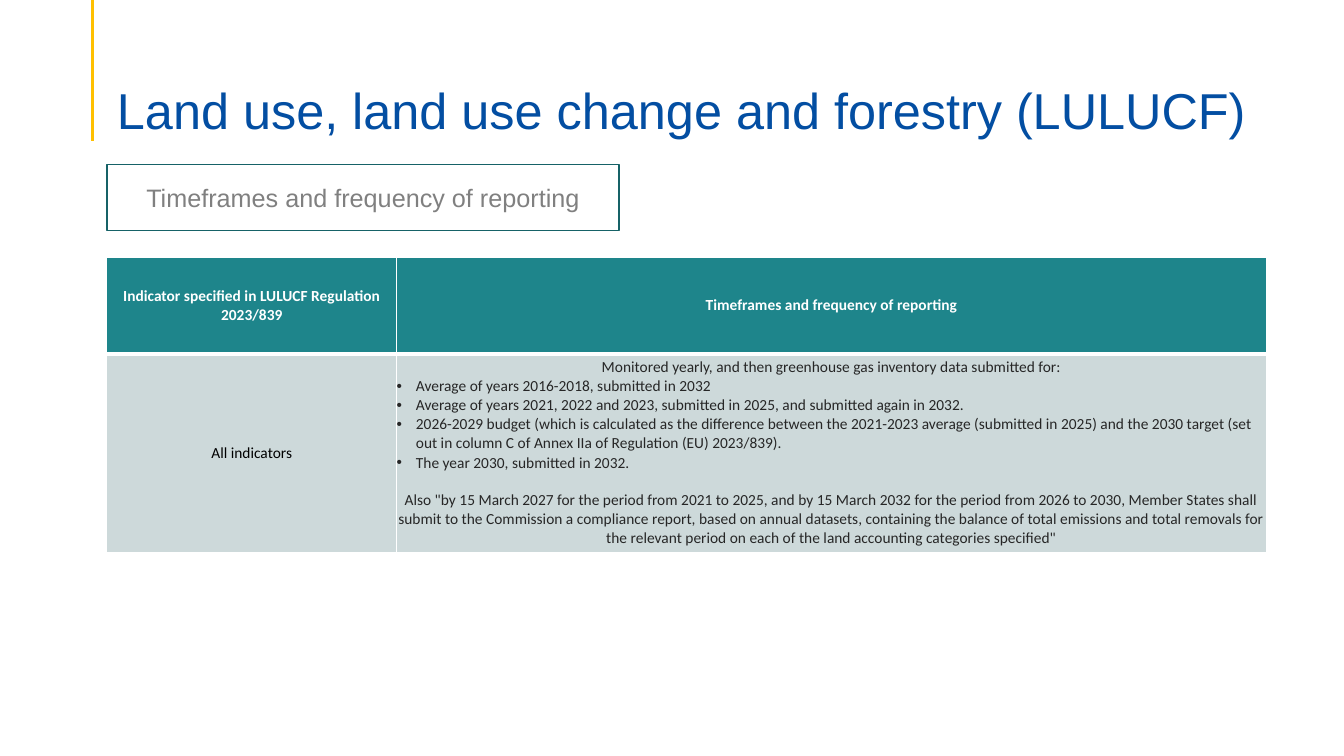
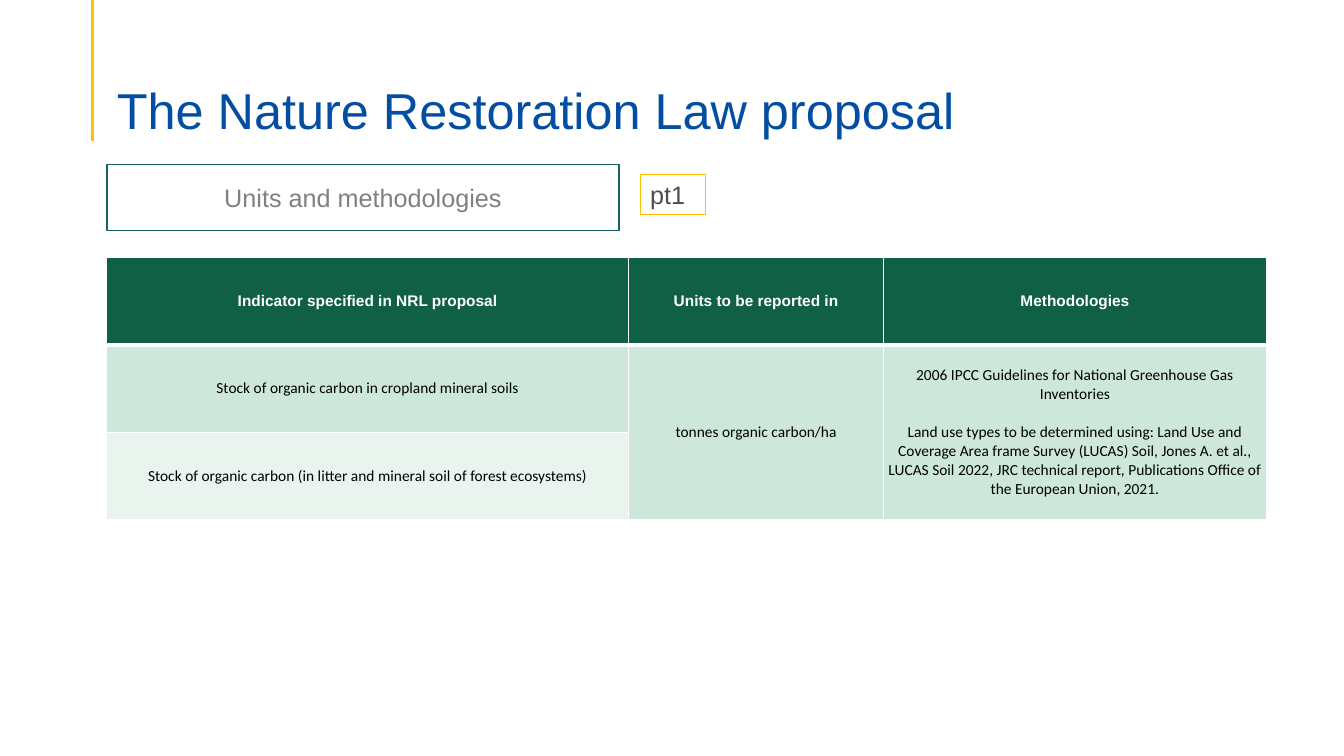
"""Build two slides on reporting rules for land use and nature restoration."""
from dataclasses import dataclass

from lxml.etree import SubElement
from pptx import Presentation
from pptx.dml.color import RGBColor
from pptx.enum.shapes import MSO_CONNECTOR, MSO_SHAPE
from pptx.enum.text import MSO_ANCHOR as Anchor, PP_ALIGN as Align
from pptx.oxml import parse_xml
from pptx.oxml.ns import nsdecls, qn
from pptx.util import Emu, Inches, Pt

WHITE = RGBColor(0xFF, 0xFF, 0xFF)
BLACK = RGBColor(0x00, 0x00, 0x00)
CHARCOAL = RGBColor(0x26, 0x26, 0x26)
DARK_GREY = RGBColor(0x4D, 0x4D, 0x4D)
GREY = RGBColor(0x80, 0x80, 0x80)
BLUE = RGBColor(0x03, 0x4E, 0xA2)
YELLOW = RGBColor(0xFF, 0xC0, 0x00)
PINE = RGBColor(0x16, 0x62, 0x67)
TEAL = RGBColor(0x1E, 0x85, 0x8B)
PALE_TEAL = RGBColor(0xCD, 0xD9, 0xDA)
GREEN = RGBColor(0x0F, 0x60, 0x45)
PALE_GREEN = RGBColor(0xCD, 0xE8, 0xDA)
MINT = RGBColor(0xE8, 0xF4, 0xED)

SLIDE_WIDTH, SLIDE_HEIGHT = Inches(13.33), Inches(7.5)
LEFT, WIDTH = Inches(1.06), Inches(11.5)
TABLE_TOP = Inches(2.55)
BULLET_INDENT = Inches(0.19)
BLANK_LINE = Pt(13.4)


@dataclass(frozen=True)
class Line:
    text: str
    bullet: bool = False
    gap_before: bool = False


@dataclass(frozen=True)
class Entry:
    lines: tuple[Line, ...]
    color: RGBColor = BLACK
    row_span: int = 1


@dataclass(frozen=True)
class Grid:
    column_shares: tuple[float, ...]
    row_heights: tuple[float, ...]
    headings: tuple[str, ...]
    heading_font: str
    heading_fill: RGBColor
    row_fills: tuple[RGBColor, ...]
    rows: tuple[tuple[Entry | None, ...], ...]


@dataclass(frozen=True)
class Page:
    title: str
    topic: str
    grid: Grid
    installment: str = ""


PAGES = (
    Page(
        "Land use, land use change and forestry (LULUCF)",
        "Timeframes and frequency of reporting",
        Grid(
            (0.25, 0.75),
            (0.96, 1.97),
            ("Indicator specified in LULUCF Regulation 2023/839",
             "Timeframes and frequency of reporting"),
            "Calibri", TEAL, (PALE_TEAL,),
            ((
                Entry((Line("All indicators"),)),
                Entry((
                    Line("Monitored yearly, and then greenhouse gas inventory "
                         "data submitted for:"),
                    Line("Average of years 2016-2018, submitted in 2032", bullet=True),
                    Line("Average of years 2021, 2022 and 2023, submitted in 2025, "
                         "and submitted again in 2032.", bullet=True),
                    Line("2026-2029 budget (which is calculated as the difference "
                         "between the 2021-2023 average (submitted in 2025) and the "
                         "2030 target (set out in column C of Annex IIa of "
                         "Regulation (EU) 2023/839).", bullet=True),
                    Line("The year 2030, submitted in 2032.", bullet=True),
                    Line('Also "by 15 March 2027 for the period from 2021 to 2025, '
                         "and by 15 March 2032 for the period from 2026 to 2030, "
                         "Member States shall submit to the Commission a compliance "
                         "report, based on annual datasets, containing the balance "
                         "of total emissions and total removals for the relevant "
                         "period on each of the land accounting categories "
                         'specified"', gap_before=True),
                ), CHARCOAL),
            ),),
        ),
    ),
    Page(
        "The Nature Restoration Law proposal",
        "Units and methodologies",
        Grid(
            (0.45, 0.22, 0.33),
            (0.87, 0.87, 0.87),
            ("Indicator specified in NRL proposal", "Units to be reported in",
             "Methodologies"),
            "Arial", GREEN, (PALE_GREEN, MINT),
            (
                (
                    Entry((Line("Stock of organic carbon in cropland mineral soils"),)),
                    Entry((Line("tonnes organic carbon/ha"),), row_span=2),
                    Entry((
                        Line("2006 IPCC Guidelines for National Greenhouse Gas "
                             "Inventories"),
                        Line("Land use types to be determined using: Land Use and "
                             "Coverage Area frame Survey (LUCAS) Soil, Jones A. et "
                             "al., LUCAS Soil 2022, JRC technical report, "
                             "Publications Office of the European Union, 2021.",
                             gap_before=True),
                    ), row_span=2),
                ),
                (
                    Entry((Line("Stock of organic carbon (in litter and mineral soil "
                                "of forest ecosystems)"),)),
                    None,
                    None,
                ),
            ),
        ),
        installment="pt1",
    ),
)


def style(paragraph, font_name: str, size: float, color: RGBColor,
          bold: bool = False, align: Align = Align.LEFT) -> None:
    paragraph.alignment = align
    font = paragraph.font
    font.name, font.size, font.bold = font_name, Pt(size), bold
    font.color.rgb = color


def add_accent(slide) -> None:
    x = Inches(0.92)
    accent = slide.shapes.add_connector(MSO_CONNECTOR.STRAIGHT, x, 0, x, Inches(1.4))
    accent.line.color.rgb = YELLOW
    accent.line.width = Pt(2.25)
    SubElement(accent.element.spPr, qn("a:effectLst"))


def set_title(slide, text: str) -> None:
    title = slide.shapes.title
    title.left, title.top = LEFT, Inches(0.53)
    title.width, title.height = WIDTH, Inches(0.86)
    frame = title.text_frame
    frame.text = text
    frame.word_wrap = True
    frame.vertical_anchor = Anchor.BOTTOM
    frame.margin_left = frame.margin_right = Inches(0.1)
    frame.margin_top, frame.margin_bottom = Inches(0.05), 0
    heading = frame.paragraphs[0]
    heading.line_spacing = 0.9
    style(heading, "Arial", 36, BLUE)


def add_label(slide, text: str, box: tuple[float, float, float, float],
              outline: RGBColor, color: RGBColor, align: Align, anchor: Anchor) -> None:
    label = slide.shapes.add_shape(MSO_SHAPE.RECTANGLE, *map(Inches, box))
    label.shadow.inherit = False
    label.fill.solid()
    label.fill.fore_color.rgb = WHITE
    label.line.color.rgb = outline
    label.line.width = Pt(1)
    frame = label.text_frame
    frame.text = text
    frame.word_wrap = True
    frame.vertical_anchor = anchor
    style(frame.paragraphs[0], "Arial", 18, color, align=align)


def set_borders(cell, top: float, bottom: float) -> None:
    widths = {"lnL": 1, "lnR": 1, "lnT": top, "lnB": bottom}
    properties = cell._tc.get_or_add_tcPr()
    for position, (side, width) in enumerate(widths.items()):
        properties.insert(position, parse_xml(
            f'<a:{side} {nsdecls("a")} w="{Pt(width)}"><a:solidFill>'
            f'<a:srgbClr val="{WHITE}"/></a:solidFill></a:{side}>'))


def set_bullet(paragraph) -> None:
    paragraph.alignment = Align.LEFT
    properties = paragraph._p.get_or_add_pPr()
    properties.set("marL", str(BULLET_INDENT))
    properties.set("indent", str(-BULLET_INDENT))
    run_defaults = properties.find(qn("a:defRPr"))
    run_defaults.addprevious(
        parse_xml(f'<a:buFont {nsdecls("a")} typeface="Arial"/>'))
    run_defaults.addprevious(parse_xml(f'<a:buChar {nsdecls("a")} char="•"/>'))


def fill_cell(cell, entry: Entry, font_name: str, bold: bool) -> None:
    cell.vertical_anchor = Anchor.MIDDLE
    cell.margin_left = cell.margin_right = cell.margin_top = cell.margin_bottom = 0
    frame = cell.text_frame
    frame.text = "\n".join(line.text for line in entry.lines)
    for paragraph, line in zip(frame.paragraphs, entry.lines):
        style(paragraph, font_name, 11, entry.color, bold, Align.CENTER)
        if line.gap_before:
            paragraph.space_before = BLANK_LINE
        if line.bullet:
            set_bullet(paragraph)


def add_grid(slide, grid: Grid) -> None:
    headings = tuple(Entry((Line(text),), WHITE) for text in grid.headings)
    entries = (headings, *grid.rows)
    fills = (grid.heading_fill, *grid.row_fills)
    table = slide.shapes.add_table(
        len(entries), len(headings), LEFT, TABLE_TOP, WIDTH,
        Inches(sum(grid.row_heights))).table
    table.horz_banding = False
    for column, share in zip(table.columns, grid.column_shares):
        column.width = Emu(round(WIDTH * share))
    for row, height in zip(table.rows, grid.row_heights):
        row.height = Inches(height)
    for r, (row_entries, fill) in enumerate(zip(entries, fills)):
        for c, entry in enumerate(row_entries):
            cell = table.cell(r, c)
            cell.fill.solid()
            cell.fill.fore_color.rgb = fill
            set_borders(cell, top=3 if r == 1 else 1, bottom=3 if r == 0 else 1)
            if entry is None:
                continue
            fill_cell(cell, entry, "Calibri" if r else grid.heading_font, r == 0)
            if entry.row_span > 1:
                cell.merge(table.cell(r + entry.row_span - 1, c))


def add_page(deck, page: Page) -> None:
    slide = deck.slides.add_slide(deck.slide_layouts[5])
    add_accent(slide)
    add_grid(slide, page.grid)
    set_title(slide, page.title)
    add_label(slide, page.topic, (1.06, 1.63, 5.08, 0.66), PINE, GREY,
              Align.CENTER, Anchor.MIDDLE)
    if page.installment:
        add_label(slide, page.installment, (6.35, 1.73, 0.65, 0.4), YELLOW,
                  DARK_GREY, Align.LEFT, Anchor.TOP)


def main() -> None:
    deck = Presentation()
    deck.slide_width, deck.slide_height = SLIDE_WIDTH, SLIDE_HEIGHT
    for page in PAGES:
        add_page(deck, page)
    deck.save("out.pptx")


if __name__ == "__main__":
    main()
